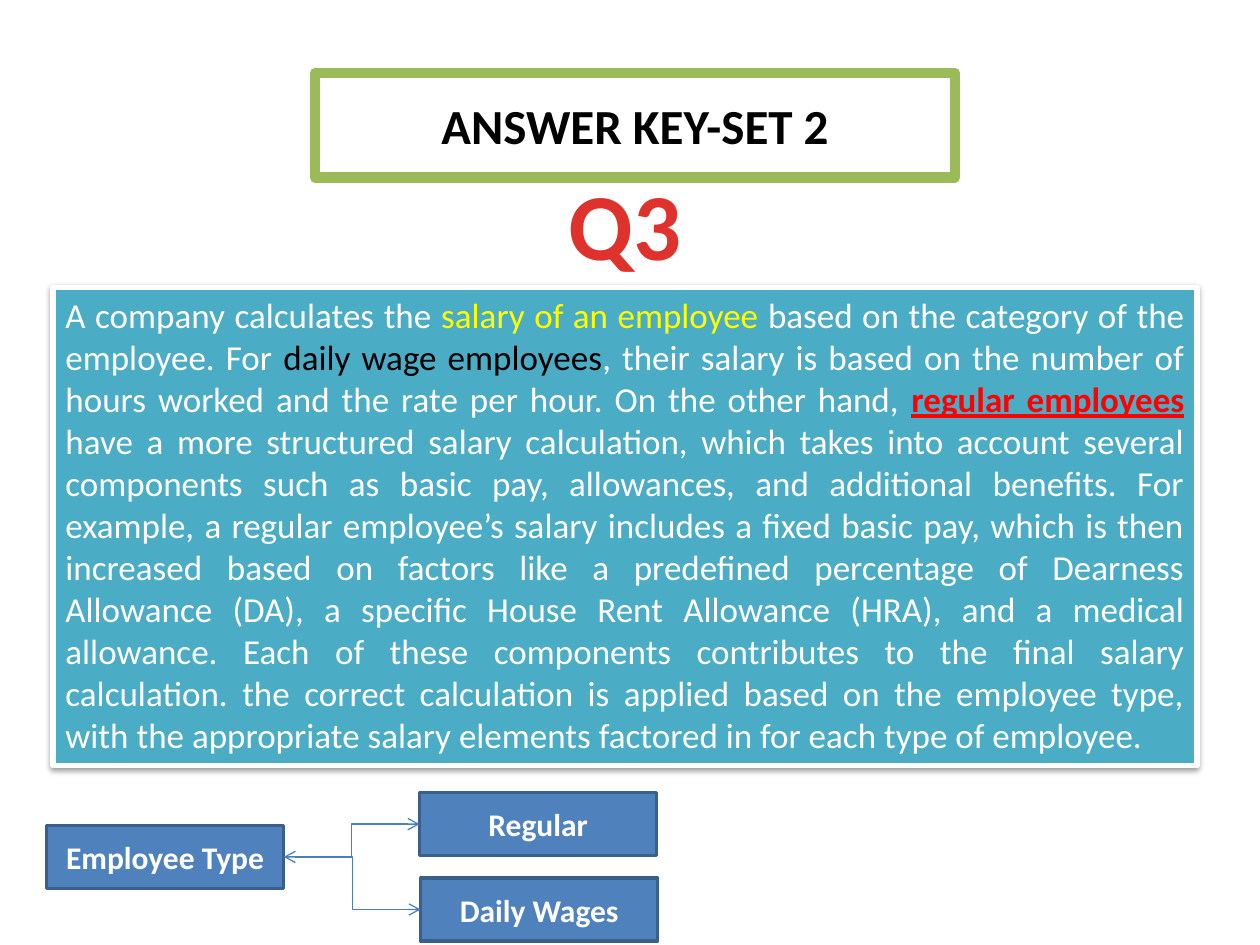
from lxml.etree import SubElement
from pptx import Presentation
from pptx.dml.color import RGBColor
from pptx.enum.shapes import MSO_CONNECTOR, MSO_SHAPE
from pptx.enum.text import MSO_ANCHOR, MSO_AUTO_SIZE, PP_ALIGN
from pptx.oxml.ns import qn
from pptx.util import Cm, Pt

QUESTION = [
    ("A company calculates the ", "FFFFFF"),
    ("salary of an employee ", "FFFF00"),
    ("based on the category of the employee. For ", "FFFFFF"),
    ("daily wage employees", "000000"),
    (", their salary is based on the number of hours worked and the rate per hour. "
     "On the other hand, ", "FFFFFF"),
    ("regular employees ", "FF0000"),
    ("have a more structured salary calculation, which takes into account several "
     "components such as basic pay, allowances, and additional benefits. For example, "
     "a regular employee’s salary includes a fixed basic pay, which is then increased "
     "based on factors like a predefined percentage of Dearness Allowance (DA), a "
     "specific House Rent Allowance (HRA), and a medical allowance. Each of these "
     "components contributes to the final salary calculation. the correct calculation "
     "is applied based on the employee type, with the appropriate salary elements "
     "factored in for each type of employee.", "FFFFFF"),
]


def rgb(value):
    return RGBColor.from_string(value)


class SlideBuilder:
    font = "Calibri"
    box_fill, box_line, arrow_line = "4F81BD", "3A5F8C", "4B7EBC"
    box_width, box_height = 4.78, 1.27

    def __init__(self, s):
        self.s = s

    def paint(self, sp, fill, line, width):
        sp.fill.solid()
        sp.fill.fore_color.rgb = rgb(fill)
        sp.line.color.rgb = rgb(line)
        sp.line.width = Pt(width)
        sp.shadow.inherit = False

    def label(self, sp, text, size, color):
        """Put one centred bold line of text in the shape."""
        tf = sp.text_frame
        tf.vertical_anchor = MSO_ANCHOR.MIDDLE
        p = tf.paragraphs[0]
        p.alignment = PP_ALIGN.CENTER
        p.add_run().text = text
        self.style(p.font, size, True)
        p.font.color.rgb = rgb(color)
        return p

    def style(self, font, size, bold):
        font.name, font.size, font.bold = self.font, Pt(size), bold

    def title(self, text, x, y, w, h):
        sp = self.s.shapes.title
        sp.left, sp.top, sp.width, sp.height = Cm(x), Cm(y), Cm(w), Cm(h)
        self.paint(sp, "FFFFFF", "9BBB59", 6)
        self.label(sp, text, 28, "000000")

    def heading(self, text, x, y, w, h):
        sp = self.s.shapes.add_textbox(Cm(x), Cm(y), Cm(w), Cm(h))
        sp.text_frame.word_wrap = False
        p = self.label(sp, text, 54, "E0322D")
        sp.text_frame.vertical_anchor = MSO_ANCHOR.TOP
        p.runs[0].font._element.set("spc", "50")

    def question(self, parts, x, y, w, h):
        sp = self.s.shapes.add_shape(MSO_SHAPE.RECTANGLE, Cm(x), Cm(y), Cm(w), Cm(h))
        self.paint(sp, "4BACC6", "FFFFFF", 3)
        self.drop_shadow(sp)
        tf = sp.text_frame
        tf.word_wrap = True
        tf.auto_size = MSO_AUTO_SIZE.SHAPE_TO_FIT_TEXT
        tf.vertical_anchor = MSO_ANCHOR.TOP
        p = tf.paragraphs[0]
        p.alignment = PP_ALIGN.JUSTIFY
        self.style(p.font, 20, False)
        for text, color in parts:
            r = p.add_run()
            r.text = text
            r.font.color.rgb = rgb(color)
            if color == "FF0000":
                r.font.bold = r.font.underline = True

    def drop_shadow(self, sp):
        effects = sp._element.spPr.find(qn("a:effectLst"))
        shadow = SubElement(effects, qn("a:outerShdw"), blurRad=str(Pt(3.1)),
                            dist=str(Pt(1.6)), dir="5400000", rotWithShape="0")
        color = SubElement(shadow, qn("a:srgbClr"), val="000000")
        SubElement(color, qn("a:alpha"), val="38000")

    def box(self, text, x, y):
        sp = self.s.shapes.add_shape(MSO_SHAPE.RECTANGLE, Cm(x), Cm(y),
                                     Cm(self.box_width), Cm(self.box_height))
        self.paint(sp, self.box_fill, self.box_line, 2)
        self.label(sp, text, 18, "FFFFFF")
        return sp

    def connect(self, start, end, *arrow_ends):
        """Join the right side of start to the left side of end."""
        c = self.s.shapes.add_connector(MSO_CONNECTOR.ELBOW, 0, 0, 0, 0)
        c.begin_connect(start, 3)
        c.end_connect(end, 1)
        c.line.color.rgb = rgb(self.arrow_line)
        c.line.width = Pt(0.75)
        for name in arrow_ends:
            SubElement(c.line._get_or_add_ln(), qn(f"a:{name}"), type="arrow")
        SubElement(c._element.spPr, qn("a:effectLst"))


def main():
    prs = Presentation()
    prs.slide_width, prs.slide_height = Cm(25.4), Cm(19.05)
    b = SlideBuilder(prs.slides.add_slide(prs.slide_layouts[5]))

    b.question(QUESTION, 1.07, 5.79, 23.06, 9.65)
    b.title("ANSWER KEY-SET 2", 6.35, 1.47, 12.9, 2.11)
    b.heading("Q3", 11.18, 3.23, 2.84, 2.57)

    employee = b.box("Employee Type", 0.94, 16.64)
    daily = b.box("Daily Wages", 8.48, 17.7)
    regular = b.box("Regular", 8.46, 15.98)
    b.connect(employee, regular, "tailEnd")
    b.connect(employee, daily, "headEnd", "tailEnd")

    prs.save("out.pptx")


if __name__ == "__main__":
    main()
